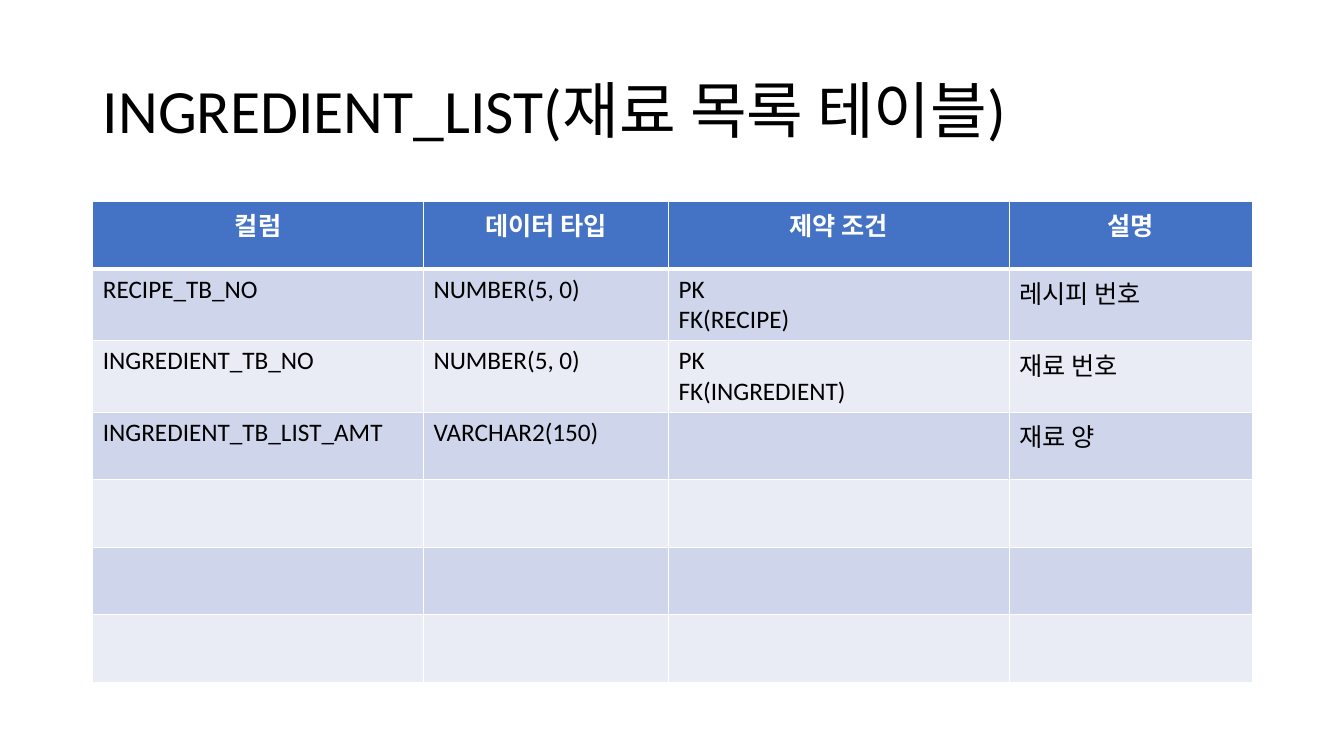
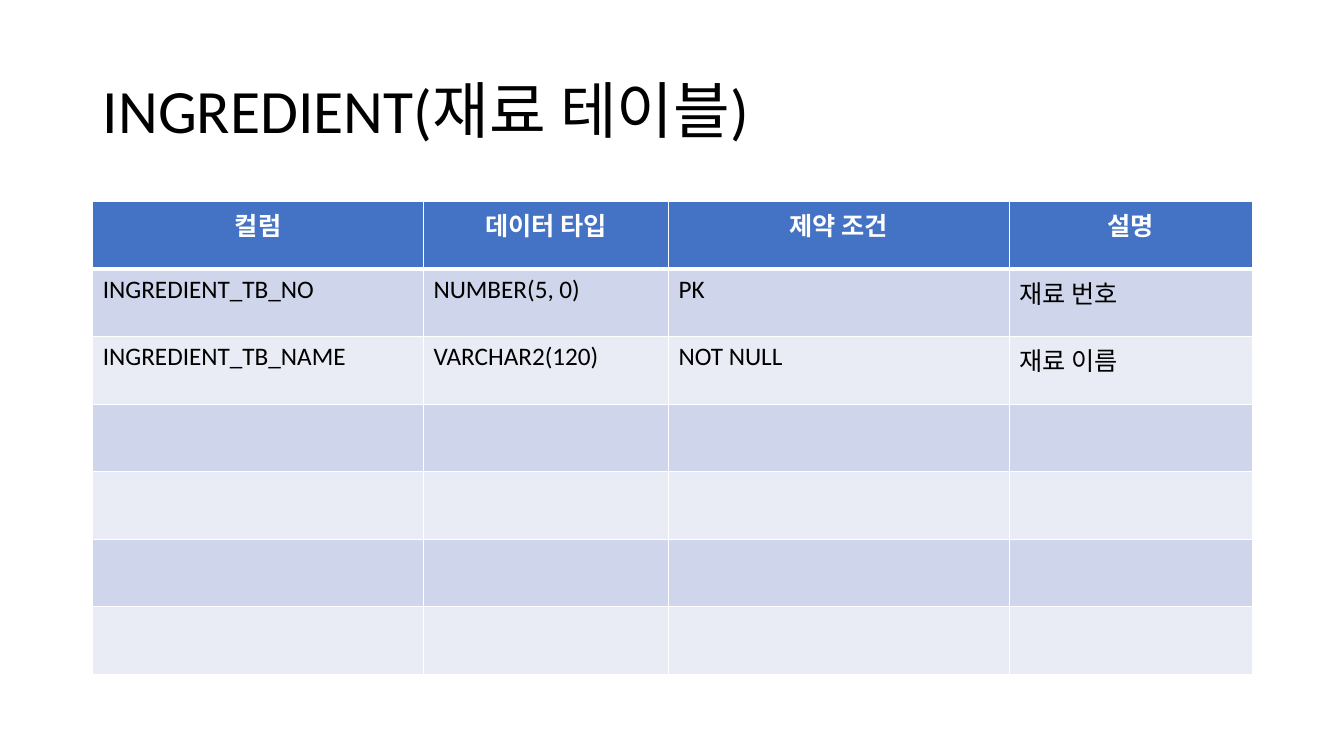
from dataclasses import dataclass

from lxml import etree
from pptx import Presentation
from pptx import util as u
from pptx.dml.color import RGBColor
from pptx.enum import text
from pptx.oxml import ns

FONT = "Calibri"
BLACK = RGBColor(0x00, 0x00, 0x00)
WHITE = RGBColor(0xFF, 0xFF, 0xFF)
HEADER_FILL = RGBColor(0x44, 0x72, 0xC4)
BAND_FILLS = (RGBColor(0xCF, 0xD5, 0xEA), RGBColor(0xE9, 0xEB, 0xF5))

LEFT, TITLE_TOP, TABLE_TOP = 0.92, 0.4, 2
TITLE_WIDTH, TITLE_HEIGHT = 11.5, 1.45
COLUMN_WIDTHS = (3.28, 2.43, 3.38, 2.41)
ROW_HEIGHT = 0.67
BODY_ROWS = 6
HEADERS = ("컬럼", "데이터 타입", "제약 조건", "설명")
TITLE_ONLY_LAYOUT = 5


@dataclass(frozen=True)
class ColumnSpec:
    name: str
    data_type: str
    constraints: str
    description: str

    def cells(self) -> tuple[str, ...]:
        return self.name, self.data_type, self.constraints, self.description


@dataclass(frozen=True)
class TableSpec:
    title: str
    columns: tuple[ColumnSpec, ...]


TABLES = (
    TableSpec("INGREDIENT_LIST(재료 목록 테이블)", (
        ColumnSpec("RECIPE_TB_NO", "NUMBER(5, 0)", "PK\nFK(RECIPE)", "레시피 번호"),
        ColumnSpec("INGREDIENT_TB_NO", "NUMBER(5, 0)", "PK\nFK(INGREDIENT)", "재료 번호"),
        ColumnSpec("INGREDIENT_TB_LIST_AMT", "VARCHAR2(150)", "", "재료 양"),
    )),
    TableSpec("INGREDIENT(재료 테이블)", (
        ColumnSpec("INGREDIENT_TB_NO", "NUMBER(5, 0)", "PK", "재료 번호"),
        ColumnSpec("INGREDIENT_TB_NAME", "VARCHAR2(120)", "NOT NULL", "재료 이름"),
    )),
)


def write_text(frame, content: str, *, size: float = 18, color: RGBColor = BLACK,
               bold: bool = False, align=text.PP_ALIGN.LEFT,
               line_spacing: float = 1.0) -> None:
    """Fill a text frame, one paragraph for each line of content."""
    frame.text = content
    for paragraph in frame.paragraphs:
        paragraph.alignment = align
        paragraph.line_spacing = line_spacing
        font = paragraph.font
        for run in paragraph.runs:
            font = run.font
            font.name = FONT
            font.color.rgb = color
            font.bold = bold
        font.size = u.Pt(size)


def add_borders(cell, *, top: float = 1, bottom: float = 1) -> None:
    """Draw white cell borders; widths are in points. Call before setting the fill."""
    properties = cell._tc.get_or_add_tcPr()
    for side, width in (("L", 1), ("R", 1), ("T", top), ("B", bottom)):
        line = etree.SubElement(properties, ns.qn(f"a:ln{side}"), w=str(u.Pt(width)))
        fill = etree.SubElement(line, ns.qn("a:solidFill"))
        etree.SubElement(fill, ns.qn("a:srgbClr"), val=str(WHITE))


def add_title(slide, content: str) -> None:
    title = slide.shapes.title
    title.left, title.top = u.Inches(LEFT), u.Inches(TITLE_TOP)
    title.width, title.height = u.Inches(TITLE_WIDTH), u.Inches(TITLE_HEIGHT)
    title.text_frame.vertical_anchor = text.MSO_ANCHOR.MIDDLE
    write_text(title.text_frame, content, size=44, line_spacing=0.9)


def add_column_table(slide, columns: tuple[ColumnSpec, ...]) -> None:
    """Add the header, the column rows and empty banded rows up to BODY_ROWS."""
    row_count = BODY_ROWS + 1
    table = slide.shapes.add_table(
        row_count, len(HEADERS), u.Inches(LEFT), u.Inches(TABLE_TOP),
        u.Inches(sum(COLUMN_WIDTHS)), u.Inches(ROW_HEIGHT * row_count)).table
    for column, width in zip(table.columns, COLUMN_WIDTHS):
        column.width = u.Inches(width)

    blank_row = ("",) * len(HEADERS)
    rows = [HEADERS, *(column.cells() for column in columns)]
    rows += [blank_row] * (row_count - len(rows))
    for row_index, (row, values) in enumerate(zip(table.rows, rows)):
        row.height = u.Inches(ROW_HEIGHT)
        is_header = row_index == 0
        for cell, value in zip(row.cells, values):
            add_borders(cell, top=3 if row_index == 1 else 1, bottom=3 if is_header else 1)
            cell.fill.solid()
            cell.fill.fore_color.rgb = (
                HEADER_FILL if is_header else BAND_FILLS[(row_index - 1) % 2])
            write_text(cell.text_frame, value, bold=is_header,
                       color=WHITE if is_header else BLACK,
                       align=text.PP_ALIGN.CENTER if is_header else text.PP_ALIGN.LEFT)


def main() -> None:
    presentation = Presentation()
    presentation.slide_width = u.Inches(13.33)
    presentation.slide_height = u.Inches(7.5)
    layout = presentation.slide_layouts[TITLE_ONLY_LAYOUT]
    for spec in TABLES:
        slide = presentation.slides.add_slide(layout)
        add_title(slide, spec.title)
        add_column_table(slide, spec.columns)
    presentation.save("out.pptx")


if __name__ == "__main__":
    main()
